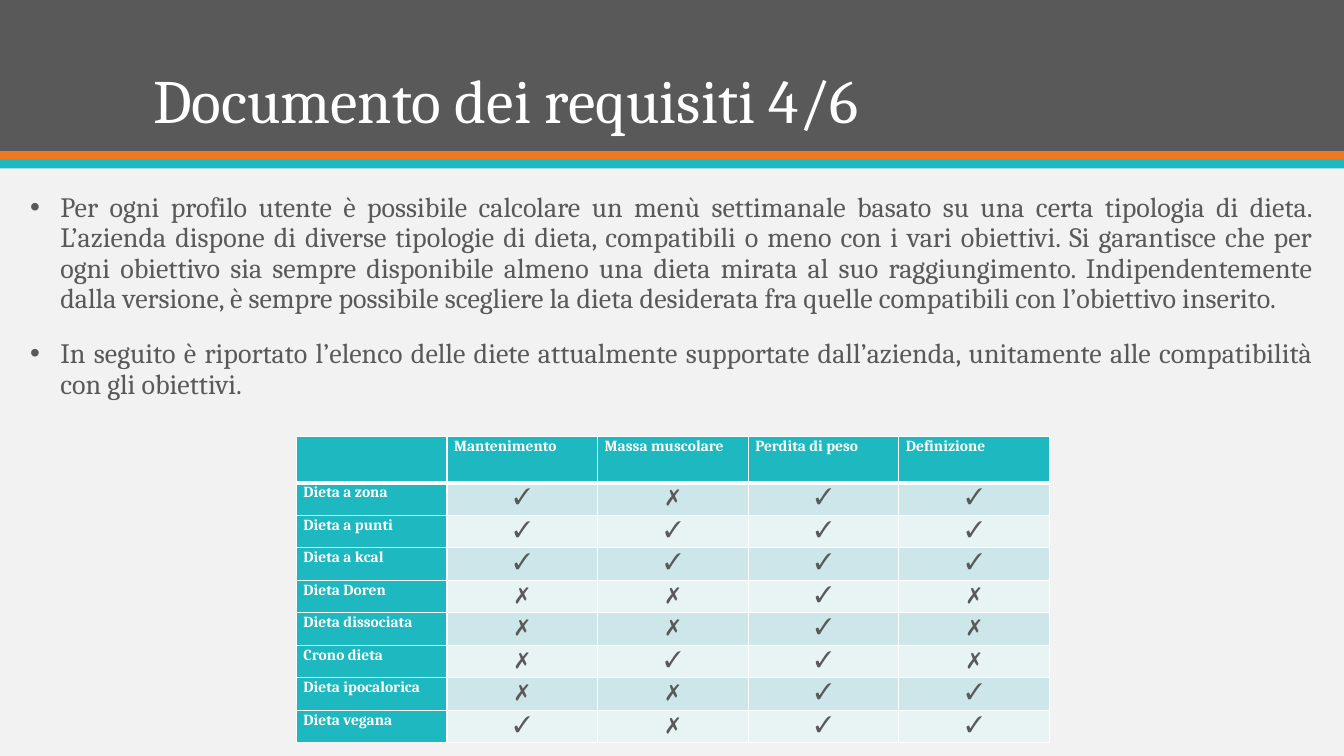
from lxml.etree import SubElement
from pptx import Presentation
from pptx.dml.color import RGBColor
from pptx.enum.shapes import MSO_SHAPE
from pptx.enum.text import MSO_ANCHOR, PP_ALIGN
from pptx.oxml.ns import qn
from pptx.util import Inches, Pt

COLORS = {
    "background": "F2F2F2", "gray": "595959", "orange": "EF7920",
    "teal": "1EB8C1", "white": "FFFFFF", "band_dark": "CDE6E9",
    "band_light": "E8F3F4",
}
FONT = "Cambria"
TITLE = "Documento dei requisiti 4/6"
REQUIREMENTS = [
    "Per ogni profilo utente è possibile calcolare un menù settimanale basato su "
    "una certa tipologia di dieta. L’azienda dispone di diverse tipologie di dieta, "
    "compatibili o meno con i vari obiettivi. Si garantisce che per ogni obiettivo "
    "sia sempre disponibile almeno una dieta mirata al suo raggiungimento. "
    "Indipendentemente dalla versione, è sempre possibile scegliere la dieta "
    "desiderata fra quelle compatibili con l’obiettivo inserito.",
    "In seguito è riportato l’elenco delle diete attualmente supportate "
    "dall’azienda, unitamente alle compatibilità con gli obiettivi.",
]
GOALS = ["", "Mantenimento", "Massa muscolare", "Perdita di peso", "Definizione"]
DIETS = {
    "Dieta a zona": "✓✗✓✓",
    "Dieta a punti": "✓✓✓✓",
    "Dieta a kcal": "✓✓✓✓",
    "Dieta Doren": "✗✗✓✗",
    "Dieta dissociata": "✗✗✓✗",
    "Crono dieta": "✗✓✓✗",
    "Dieta ipocalorica": "✗✗✓✓",
    "Dieta vegana": "✓✗✓✓",
}
TITLE_FORMAT = {"line_spacing": 0.9}
BODY_FORMAT = {"line_spacing": 0.9, "space_before": Pt(18),
               "alignment": PP_ALIGN.JUSTIFY}
LABEL_FORMAT = {"line_spacing": 1.07}
MARK_FORMAT = {"line_spacing": 1.07, "alignment": PP_ALIGN.CENTER}
CELL_FORMAT = {"margin_left": Inches(0.07), "margin_right": Inches(0.07),
               "margin_top": 0, "margin_bottom": 0}


def rgb(name):
    """Return the named colour."""
    return RGBColor.from_string(COLORS[name])


def apply(target, values):
    """Set every attribute in values on target."""
    for name, value in values.items():
        setattr(target, name, value)


def write(paragraph, text, size, color, layout, bold=False):
    """Write one formatted run into a paragraph."""
    apply(paragraph, layout)
    run = paragraph.add_run()
    run.text = text
    apply(run.font, {"name": FONT, "size": Pt(size), "bold": bold})
    run.font.color.rgb = rgb(color)


def add_text_frame(slide, box):
    """Add a wrapping text box and return its frame."""
    frame = slide.shapes.add_textbox(*map(Inches, box)).text_frame
    frame.word_wrap = True
    return frame


def add_header(slide, box):
    """Draw the gray band, its two stripes and the title."""
    left, top, width, height = box
    stripe = 0.09
    bands = [("gray", top, height), ("orange", top + height, stripe),
             ("teal", top + height + stripe - 0.01, stripe)]
    for color, band_top, band_height in bands:
        band = slide.shapes.add_shape(
            MSO_SHAPE.RECTANGLE, Inches(left), Inches(band_top),
            Inches(width), Inches(band_height))
        band.shadow.inherit = False
        band.fill.solid()
        band.fill.fore_color.rgb = rgb(color)
        band.line.fill.background()
    frame = add_text_frame(slide, (left + 1.42, top + 0.28, 10.5, 1.13))
    frame.vertical_anchor = MSO_ANCHOR.BOTTOM
    write(frame.paragraphs[0], TITLE, 44, "white", TITLE_FORMAT)


def add_requirements(slide, box):
    """Write the requirements as a justified bullet list."""
    frame = add_text_frame(slide, box)
    for index, requirement in enumerate(REQUIREMENTS):
        paragraph = frame.add_paragraph() if index else frame.paragraphs[0]
        write(paragraph, requirement, 20, "gray", BODY_FORMAT)
        properties = paragraph._p.get_or_add_pPr()
        properties.set("marL", str(Inches(0.3)))
        properties.set("indent", str(-Inches(0.3)))
        SubElement(properties, qn("a:buFont"), typeface="Arial")
        SubElement(properties, qn("a:buChar"), char="•")


def style_cell(cell, color, top=1, bottom=1):
    """Give a cell its margins, white borders (in points) and fill."""
    apply(cell, CELL_FORMAT)
    properties = cell._tc.get_or_add_tcPr()
    for side, points in {"L": 1, "R": 1, "T": top, "B": bottom}.items():
        border = SubElement(properties, qn(f"a:ln{side}"), w=str(Pt(points)))
        fill = SubElement(border, qn("a:solidFill"))
        SubElement(fill, qn("a:srgbClr"), val=COLORS["white"])
    cell.fill.solid()
    cell.fill.fore_color.rgb = rgb(color)


def add_diet_table(slide, box):
    """Build the table of diets against goals."""
    left, top, width, height = box
    header_height = 0.46
    rows = [GOALS] + [[diet, *marks] for diet, marks in DIETS.items()]
    table = slide.shapes.add_table(
        len(rows), len(GOALS), *map(Inches, box)).table
    for column in table.columns:
        column.width = Inches(width / len(GOALS))
    for r, values in enumerate(rows):
        table.rows[r].height = Inches(
            (height - header_height) / len(DIETS) if r else header_height)
        band = "band_dark" if r % 2 else "band_light"
        for c, value in enumerate(values):
            cell = table.cell(r, c)
            is_mark = r > 0 and c > 0
            style_cell(cell, band if is_mark else "teal",
                       top=3 if r == 1 else 1, bottom=1 if r else 3)
            paragraph = cell.text_frame.paragraphs[0]
            if is_mark:
                write(paragraph, value, 16, "gray", MARK_FORMAT)
            else:
                write(paragraph, value, 11, "white", LABEL_FORMAT, bold=True)


def build():
    """Build and save the slide."""
    deck = Presentation()
    apply(deck, {"slide_width": Inches(13.33), "slide_height": Inches(7.5)})
    slide = deck.slides.add_slide(deck.slide_layouts[6])
    slide.background.fill.solid()
    slide.background.fill.fore_color.rgb = rgb("background")
    add_header(slide, (0, 0, 13.33, 1.5))
    add_requirements(slide, (0.2, 1.87, 12.92, 2.46))
    add_diet_table(slide, (2.94, 4.33, 7.47, 3.04))
    deck.save("out.pptx")


build()
